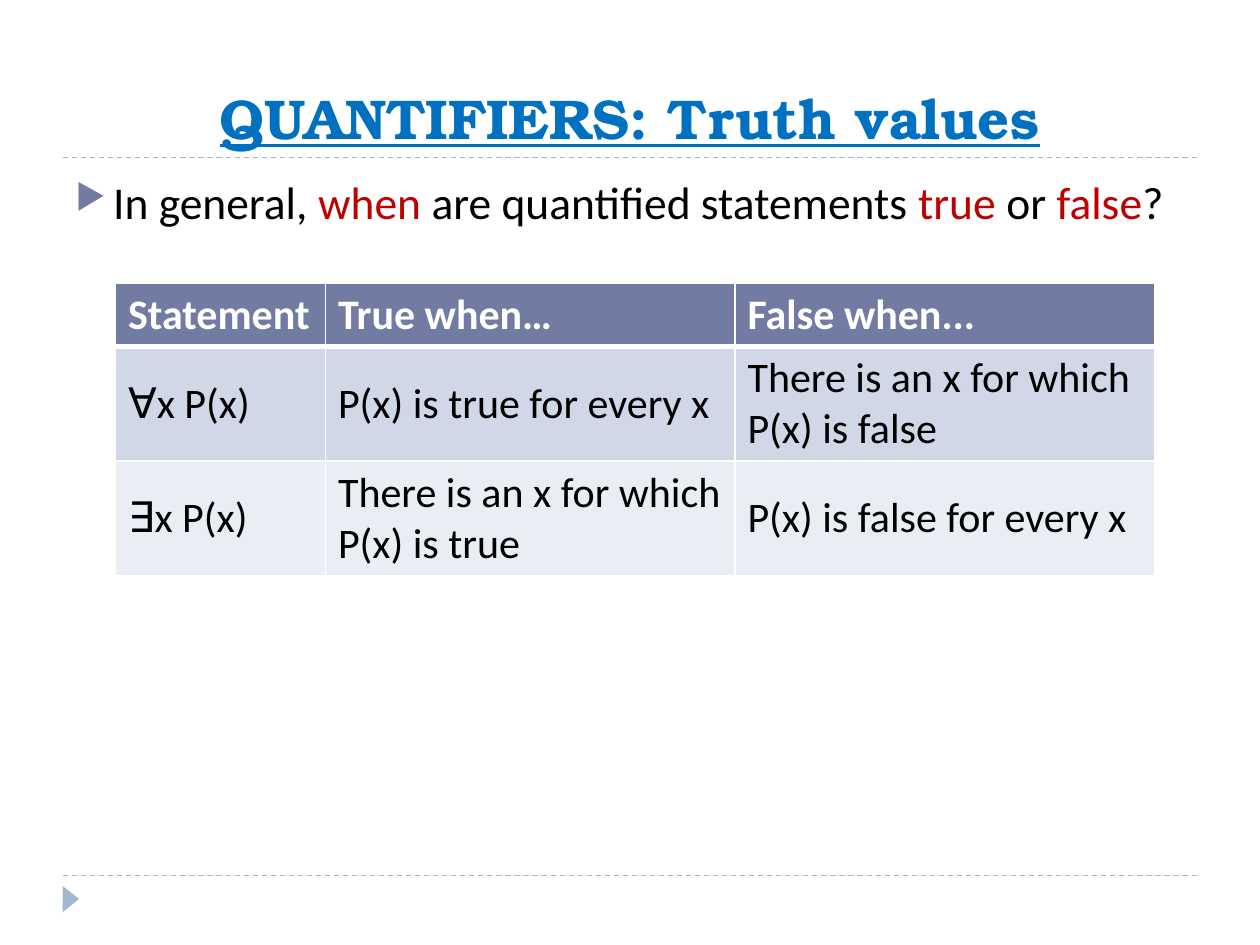
from dataclasses import dataclass

from lxml.etree import SubElement
from pptx import Presentation
from pptx.dml.color import RGBColor
from pptx.enum.dml import MSO_LINE
from pptx.enum.shapes import MSO_CONNECTOR, MSO_SHAPE
from pptx.enum.text import MSO_ANCHOR, MSO_AUTO_SIZE, PP_ALIGN
from pptx.oxml.ns import qn
from pptx.util import Pt


@dataclass(frozen=True)
class Theme:
    title_font: str = "TeX Gyre Bonum"
    body_font: str = "Calibri"
    title_size: float = 32
    body_size: float = 26
    table_size: float = 24
    title: str = "0070C0"
    text: str = "000000"
    emphasis: str = "C00000"
    accent: str = "727CA3"
    rule: str = "9FB8CD"
    white: str = "FFFFFF"
    bands: tuple[str, ...] = ("D0D8E8", "E9EDF4")


@dataclass(frozen=True)
class Span:
    text: str
    color: str


@dataclass(frozen=True)
class Border:
    side: str
    width: float


THEME = Theme()
LEFT, WIDTH = 36, 648

QUESTION = [
    Span("In general, ", THEME.text),
    Span("when", THEME.emphasis),
    Span(" are quantified statements ", THEME.text),
    Span("true", THEME.emphasis),
    Span(" or ", THEME.text),
    Span("false", THEME.emphasis),
    Span("?", THEME.text),
]
ROWS = [
    ("Statement", "True when…", "False when..."),
    ("∀x P(x)", "P(x) is true for every x", "There is an x for which P(x) is false"),
    ("∃x P(x)", "There is an x for which P(x) is true", "P(x) is false for every x"),
]
COL_WIDTHS = (120, 234, 240)
ROW_HEIGHTS = (36, 65.5, 65.5)


def rgb(value: str) -> RGBColor:
    return RGBColor.from_string(value)


def add_run(p, text: str, font: str, size: float, color: str, bold: bool = False):
    r = p.add_run()
    r.text = text
    r.font.name = font
    r.font.size = Pt(size)
    r.font.bold = bold
    r.font.color.rgb = rgb(color)
    return r


def add_rule(s, y: float) -> None:
    line = s.shapes.add_connector(
        MSO_CONNECTOR.STRAIGHT, Pt(LEFT), Pt(y), Pt(LEFT + WIDTH), Pt(y))
    line.line.color.rgb = rgb(THEME.rule)
    line.line.width = Pt(0.75)
    line.line.dash_style = MSO_LINE.DASH
    SubElement(line._element.spPr, qn("a:effectLst"))


def add_marker(s) -> None:
    sp = s.shapes.add_shape(
        MSO_SHAPE.ISOSCELES_TRIANGLE, Pt(33), Pt(509), Pt(15), Pt(9.5))
    sp.rotation = 90
    sp.shadow.inherit = False
    sp.fill.solid()
    sp.fill.fore_color.rgb = rgb(THEME.rule)
    sp.line.fill.background()


def set_title(s, text: str) -> None:
    sp = s.shapes.title
    sp.left, sp.top, sp.width, sp.height = Pt(LEFT), Pt(12), Pt(WIDTH), Pt(78)
    tf = sp.text_frame
    tf.auto_size = MSO_AUTO_SIZE.NONE
    tf.vertical_anchor = MSO_ANCHOR.BOTTOM
    p = tf.paragraphs[0]
    p.alignment = PP_ALIGN.CENTER
    r = add_run(p, text, THEME.title_font, THEME.title_size, THEME.title, bold=True)
    r.font.underline = True


def set_bullet(p, char: str, color: str, percent: int) -> None:
    pPr = p._p.get_or_add_pPr()
    pPr.set("marL", str(Pt(21.6)))
    pPr.set("indent", str(-Pt(21.6)))
    SubElement(SubElement(pPr, qn("a:buClr")), qn("a:srgbClr"), val=color)
    SubElement(pPr, qn("a:buSzPct"), val=str(percent * 1000))
    SubElement(pPr, qn("a:buChar"), char=char)


def add_question(s, spans: list[Span]) -> None:
    sp = s.shapes.add_textbox(Pt(LEFT), Pt(96), Pt(WIDTH), Pt(389))
    tf = sp.text_frame
    tf.word_wrap = True
    p = tf.paragraphs[0]
    p.space_before = Pt(6)
    set_bullet(p, "▶", THEME.accent, 76)
    for span in spans:
        add_run(p, span.text, THEME.body_font, THEME.body_size, span.color)


def set_borders(cell, borders: list[Border]) -> None:
    # Borders must come before the fill in the cell properties
    tcPr = cell._tc.get_or_add_tcPr()
    for border in borders:
        ln = SubElement(tcPr, qn(f"a:ln{border.side}"), w=str(Pt(border.width)))
        SubElement(SubElement(ln, qn("a:solidFill")), qn("a:srgbClr"), val=THEME.white)


def add_truth_table(s) -> None:
    table = s.shapes.add_table(
        len(ROWS), len(COL_WIDTHS), Pt(66), Pt(162),
        Pt(sum(COL_WIDTHS)), Pt(sum(ROW_HEIGHTS))).table
    for col, width in zip(table.columns, COL_WIDTHS):
        col.width = Pt(width)
    for i, (row, texts) in enumerate(zip(table.rows, ROWS)):
        row.height = Pt(ROW_HEIGHTS[i])
        header = i == 0
        # A thick line parts the header from the body
        borders = [Border("L", 1), Border("R", 1),
                   Border("T", 3 if i == 1 else 1), Border("B", 3 if header else 1)]
        for cell, text in zip(row.cells, texts):
            set_borders(cell, borders)
            cell.fill.solid()
            cell.fill.fore_color.rgb = rgb(THEME.accent if header else THEME.bands[i - 1])
            cell.vertical_anchor = MSO_ANCHOR.MIDDLE
            add_run(cell.text_frame.paragraphs[0], text, THEME.body_font,
                    THEME.table_size, THEME.white if header else THEME.text, bold=header)


def main() -> None:
    prs = Presentation()
    prs.slide_width, prs.slide_height = Pt(720), Pt(540)
    s = prs.slides.add_slide(prs.slide_layouts[5])
    s.background.fill.solid()
    s.background.fill.fore_color.rgb = rgb(THEME.white)

    # Frame of the slide
    for y in (500.5, 90):
        add_rule(s, y)
    add_marker(s)

    # Content
    set_title(s, "QUANTIFIERS: Truth values")
    add_question(s, QUESTION)
    add_truth_table(s)

    prs.save("out.pptx")


if __name__ == "__main__":
    main()
